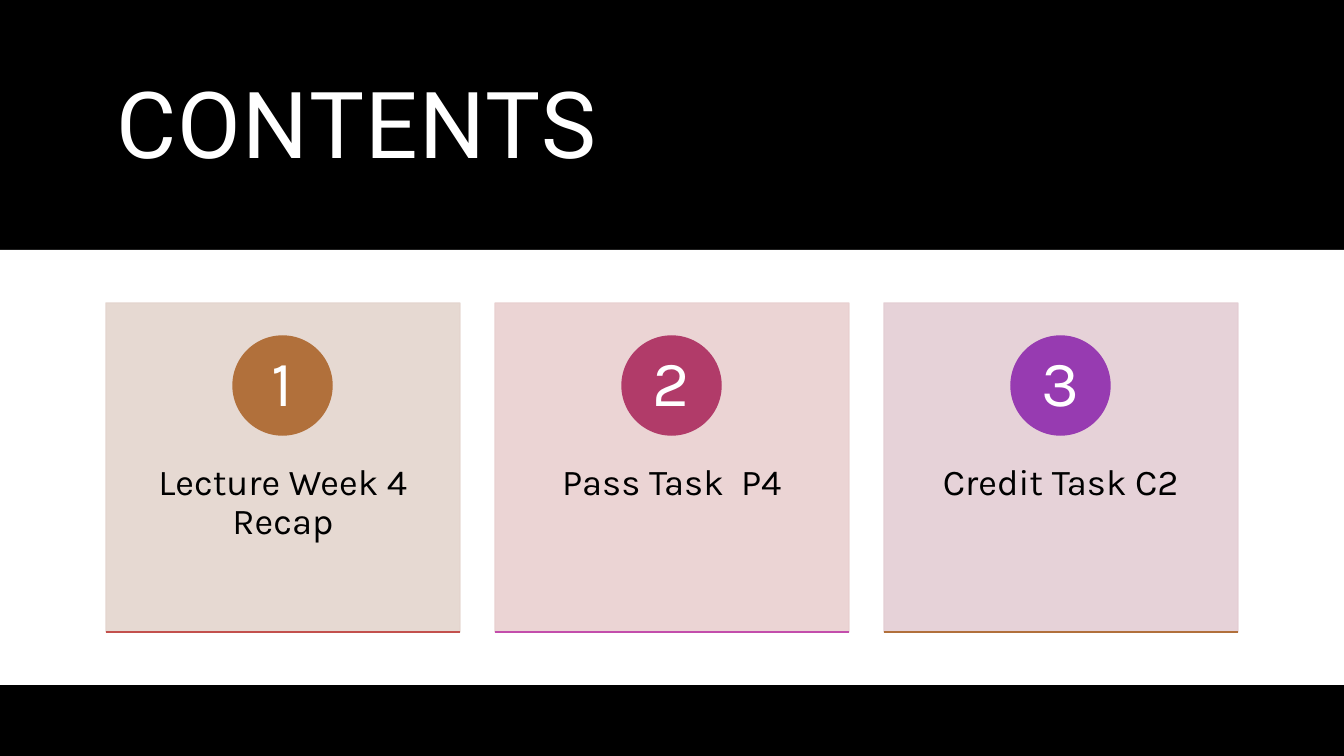
from dataclasses import dataclass

from lxml import etree
from pptx import Presentation
from pptx import util as u
from pptx.dml.color import RGBColor
from pptx.enum import shapes, text
from pptx.oxml import ns

EMU_PER_PX = 9071
SLIDE_WIDTH, SLIDE_HEIGHT = 1344, 756
BAND_TOP, BAND_HEIGHT = 250, 435
CARD_LEFT, CARD_TOP, CARD_WIDTH, CARD_HEIGHT = 106, 303, 354, 329
CARD_STEP = 389
BADGE_TOP, BADGE_SIZE = 336, 99
LABEL_TOP, LABEL_HEIGHT = 428, 198

BLACK = RGBColor(0x00, 0x00, 0x00)
WHITE = RGBColor(0xFF, 0xFF, 0xFF)
SAND = RGBColor(0xE4, 0xD5, 0xCE)
ROSE = RGBColor(0xE9, 0xD0, 0xD0)
MAUVE = RGBColor(0xE4, 0xCE, 0xD4)
BROWN = RGBColor(0xB1, 0x70, 0x3B)
CRIMSON = RGBColor(0xB1, 0x3B, 0x69)
PURPLE = RGBColor(0x97, 0x3B, 0xB1)
RED = RGBColor(0xC3, 0x50, 0x4D)
PINK = RGBColor(0xC3, 0x4D, 0xAC)


@dataclass(frozen=True)
class Card:
    label: str
    panel: RGBColor
    badge: RGBColor
    rule: RGBColor


CARDS = [
    Card("Lecture Week 4 Recap", SAND, BROWN, RED),
    Card("Pass Task  P4", ROSE, CRIMSON, PINK),
    Card("Credit Task C2", MAUVE, PURPLE, BROWN),
]


def px(length: int) -> u.Emu:
    return u.Emu(length * EMU_PER_PX)


def add_filled(container, kind, left: int, top: int, width: int, height: int,
               color: RGBColor, outlined: bool = True):
    shape = container.add_shape(kind, px(left), px(top), px(width), px(height))
    shape.shadow.inherit = False
    shape.fill.solid()
    shape.fill.fore_color.rgb = color
    if outlined:
        shape.line.color.rgb = color
        shape.line.width = u.Pt(1)
    else:
        shape.line.fill.background()
    return shape


def set_opacity(shape, percent: int) -> None:
    for color in shape.element.spPr.iter(ns.qn("a:srgbClr")):
        etree.SubElement(color, ns.qn("a:alpha")).set("val", str(percent * 1000))


def write(shape, words: str, font: str, size: int, color: RGBColor, align,
          anchor, side: int, edge: int) -> None:
    frame = shape.text_frame
    frame.word_wrap = True
    frame.auto_size = text.MSO_AUTO_SIZE.NONE
    frame.vertical_anchor = anchor
    frame.margin_left = frame.margin_right = px(side)
    frame.margin_top = frame.margin_bottom = px(edge)
    frame.text = words
    paragraph = frame.paragraphs[0]
    paragraph.alignment = align
    paragraph.line_spacing = 0.9
    paragraph.font.name = font
    paragraph.font.size = u.Pt(size)
    paragraph.font.color.rgb = color


def add_title(slide) -> None:
    title = slide.shapes.title
    title.left, title.top = px(CARD_LEFT), px(35)
    title.width, title.height = px(1132), px(188)
    write(title, "CONTENTS", "Roboto", 66, WHITE, text.PP_ALIGN.LEFT,
          text.MSO_ANCHOR.MIDDLE, 10, 5)
    run = title.text_frame.paragraphs[0].runs[0]
    run._r.get_or_add_rPr().set("spc", "120")
    title.element.getparent().append(title.element)


def add_card(slide, index: int, card: Card) -> None:
    left = CARD_LEFT + index * CARD_STEP
    group = slide.shapes.add_group_shape().shapes
    panel = add_filled(group, shapes.MSO_SHAPE.RECTANGLE, left, CARD_TOP,
                       CARD_WIDTH, CARD_HEIGHT, card.panel)
    set_opacity(panel, 90)

    label = group.add_textbox(px(left), px(LABEL_TOP), px(CARD_WIDTH), px(LABEL_HEIGHT))
    write(label, card.label, "Karla", 26, BLACK, text.PP_ALIGN.CENTER,
          text.MSO_ANCHOR.TOP, 27, 36)

    badge_left = left + (CARD_WIDTH - BADGE_SIZE) // 2
    badge = add_filled(group, shapes.MSO_SHAPE.OVAL, badge_left, BADGE_TOP,
                       BADGE_SIZE, BADGE_SIZE, card.badge)
    write(badge, str(index + 1), "Karla", 46, WHITE, text.PP_ALIGN.CENTER,
          text.MSO_ANCHOR.MIDDLE, 8, 1)

    bottom = px(CARD_TOP + CARD_HEIGHT)
    rule = group.add_connector(shapes.MSO_CONNECTOR.STRAIGHT, px(left), bottom,
                               px(left + CARD_WIDTH), bottom)
    rule.line.color.rgb = card.rule
    rule.line.width = u.Pt(1)
    etree.SubElement(rule.element.spPr, ns.qn("a:effectLst"))


def main() -> None:
    presentation = Presentation()
    presentation.slide_width = px(SLIDE_WIDTH)
    presentation.slide_height = px(SLIDE_HEIGHT)
    slide = presentation.slides.add_slide(presentation.slide_layouts[5])

    add_filled(slide.shapes, shapes.MSO_SHAPE.RECTANGLE, 0, 0,
               SLIDE_WIDTH, SLIDE_HEIGHT, BLACK, outlined=False)
    add_title(slide)
    add_filled(slide.shapes, shapes.MSO_SHAPE.RECTANGLE, 0, BAND_TOP,
               SLIDE_WIDTH, BAND_HEIGHT, WHITE, outlined=False)
    for index, card in enumerate(CARDS):
        add_card(slide, index, card)
    presentation.save("out.pptx")


if __name__ == "__main__":
    main()
